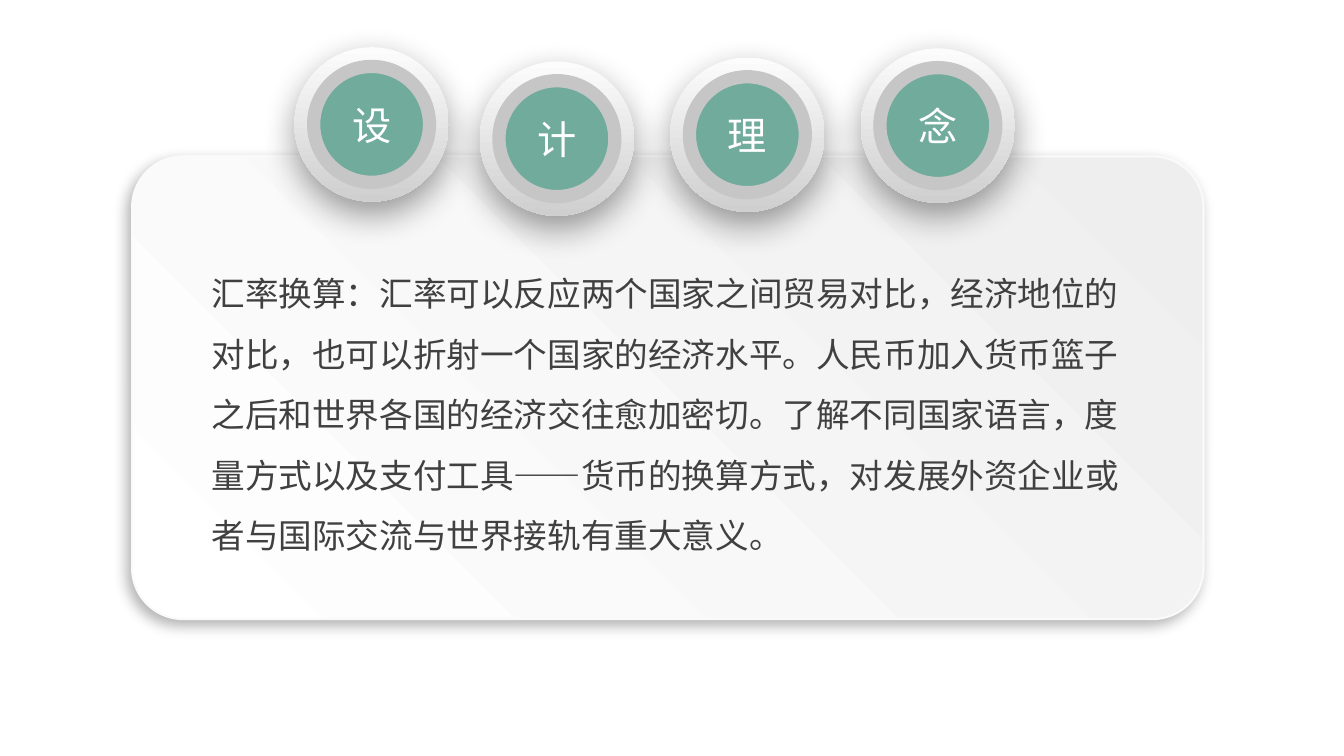
from lxml.etree import SubElement
from pptx import Presentation
from pptx.dml.color import RGBColor
from pptx.enum.shapes import MSO_SHAPE
from pptx.enum.text import MSO_ANCHOR, MSO_AUTO_SIZE, PP_ALIGN
from pptx.oxml.ns import qn
from pptx.util import Cm, Pt

FONT = "Noto Sans CJK SC"
DISC_SIZE = 3.89
FACE_SIZE = 2.92
DISCS = [("设", 7.42, 1.19), ("计", 12.09, 1.55), ("理", 16.89, 1.45), ("念", 21.69, 1.22)]
CONCEPT = (
    "汇率换算：汇率可以反应两个国家之间贸易对比，经济地位的对比，"
    "也可以折射一个国家的经济水平。人民币加入货币篮子之后和世界各国的经济交往愈加密切。"
    "了解不同国家语言，度量方式以及支付工具——货币的换算方式，"
    "对发展外资企业或者与国际交流与世界接轨有重大意义。"
)


def paint(color, value):
    """Set a colour from a hex string."""
    color.rgb = RGBColor.from_string(value)


def add_plain(shapes, kind, left, top, width, height):
    """Add a preset shape without a shadow, placed in centimetres."""
    plain = shapes.add_shape(kind, Cm(left), Cm(top), Cm(width), Cm(height))
    plain.shadow.inherit = False
    return plain


def fill_gradient(shape, start, end, clockwise):
    """Fill a shape with a linear gradient of two colours."""
    shape.fill.gradient()
    shape.fill.gradient_angle = (360 - clockwise) % 360
    for stop, value, position in zip(shape.fill.gradient_stops, (start, end), (0, 1)):
        paint(stop.color, value)
        stop.position = position


def set_outline(shape, value, points):
    """Give a shape a solid outline."""
    paint_target = shape.line
    paint_target.fill.solid()
    paint(paint_target.color, value)
    paint_target.width = Pt(points)


def cast_shadow(shape, opacity, blur, distance, direction):
    """Add a black outer shadow, with lengths in points and angle in degrees."""
    effects = shape._element.spPr.find(qn("a:effectLst"))
    shadow = SubElement(
        effects, qn("a:outerShdw"), blurRad=str(Pt(blur)), dist=str(Pt(distance)),
        dir=str(direction * 60000), algn="ctr", rotWithShape="0",
    )
    black = SubElement(shadow, qn("a:srgbClr"), val="000000")
    SubElement(black, qn("a:alpha"), val=str(opacity * 1000))


def write(frame, words, size, value):
    """Put one formatted paragraph in a text frame and return it."""
    frame.text = words
    paragraph = frame.paragraphs[0]
    run = paragraph.runs[0]
    run.font.size = Pt(size)
    run.font.name = FONT
    paint(run.font.color, value)
    SubElement(run.font._element, qn("a:ea"), typeface=FONT)
    return paragraph


def add_card(slide):
    """Add the rounded card behind the text."""
    card = add_plain(slide.shapes, MSO_SHAPE.ROUNDED_RECTANGLE, 3.33, 3.94, 27, 11.66)
    card.adjustments[0] = 0.11
    fill_gradient(card, "EEEEEE", "FFFFFF", 135)
    set_outline(card, "FAFAFA", 1.5)
    cast_shadow(card, 30, 10, 5, 135)


def add_disc(slide, character, left, top):
    """Add a raised disc that carries one character of the heading."""
    disc = slide.shapes.add_group_shape()
    rim = add_plain(disc.shapes, MSO_SHAPE.OVAL, left, top, DISC_SIZE, DISC_SIZE)
    fill_gradient(rim, "FCFCFC", "CFCFCF", 90)
    rim.line.fill.background()
    cast_shadow(rim, 40, 25, 9, 90)

    inset = (DISC_SIZE - FACE_SIZE) / 2
    face = add_plain(disc.shapes, MSO_SHAPE.OVAL, left + inset, top + inset, FACE_SIZE, FACE_SIZE)
    face.fill.solid()
    paint(face.fill.fore_color, "70AB9B")
    set_outline(face, "C6C6C6", 9.5)
    face.text_frame.vertical_anchor = MSO_ANCHOR.MIDDLE
    write(face.text_frame, character, 28, "FFFFFF").alignment = PP_ALIGN.CENTER


def add_concept(slide):
    """Add the paragraph that explains the design concept."""
    frame = slide.shapes.add_textbox(Cm(5.33), Cm(6.38), Cm(23.04), Cm(7.52)).text_frame
    frame.word_wrap = True
    frame.auto_size = MSO_AUTO_SIZE.SHAPE_TO_FIT_TEXT
    frame.margin_left = frame.margin_right = frame.margin_top = frame.margin_bottom = 0
    write(frame, CONCEPT, 24, "404040").line_spacing = 1.5


def main():
    """Build the slide and save it."""
    presentation = Presentation()
    presentation.slide_width = Cm(33.87)
    presentation.slide_height = Cm(19.05)
    slide = presentation.slides.add_slide(presentation.slide_layouts.get_by_name("Blank"))
    add_card(slide)
    for character, left, top in DISCS:
        add_disc(slide, character, left, top)
    add_concept(slide)
    presentation.save("out.pptx")


if __name__ == "__main__":
    main()
